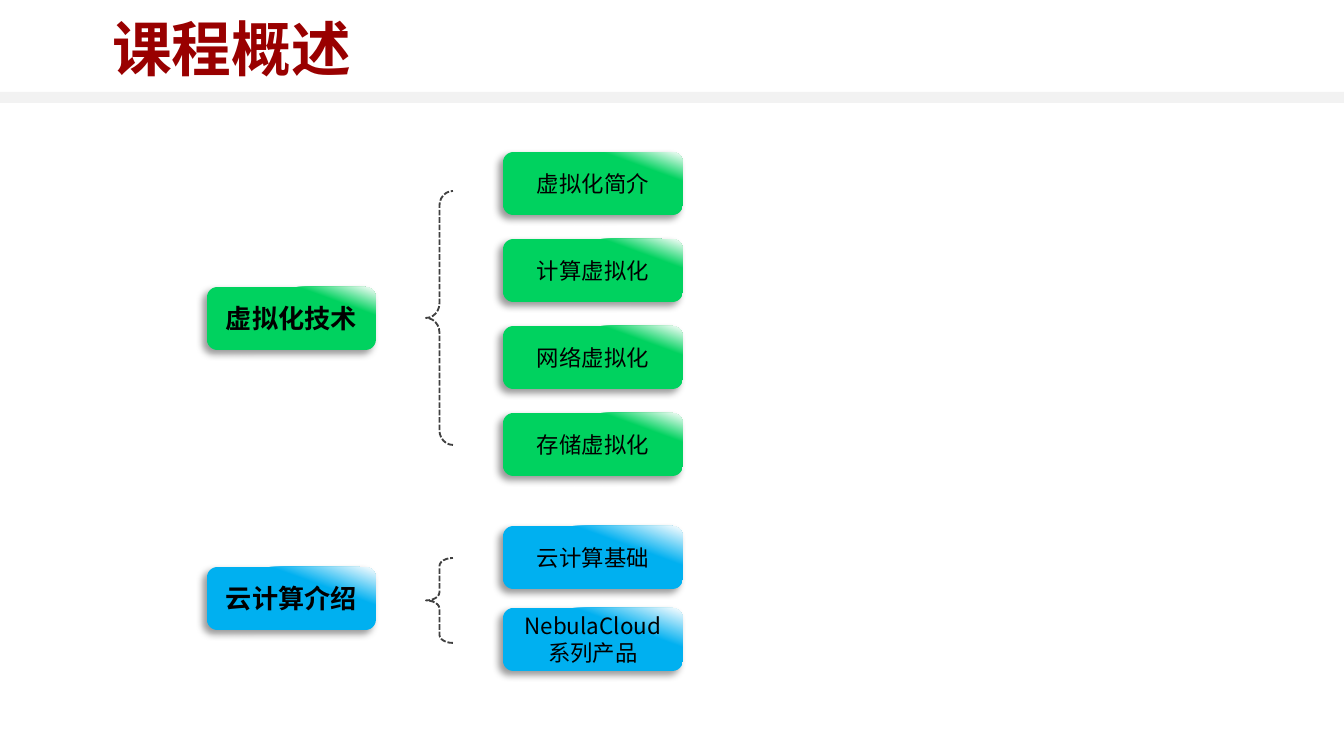
from copy import deepcopy

from pptx import Presentation
from pptx.dml.color import RGBColor
from pptx.enum.dml import MSO_LINE
from pptx.enum.shapes import MSO_SHAPE
from pptx.enum.text import MSO_ANCHOR, PP_ALIGN
from pptx.oxml import parse_xml
from pptx.oxml.ns import nsdecls
from pptx.util import Emu, Pt

RECTANGLE, ROUNDED, BRACE = MSO_SHAPE.RECTANGLE, MSO_SHAPE.ROUNDED_RECTANGLE, MSO_SHAPE.LEFT_BRACE
DASH = MSO_LINE.SQUARE_DOT
MIDDLE = MSO_ANCHOR.MIDDLE
LEFT, CENTER = PP_ALIGN.LEFT, PP_ALIGN.CENTER

GREEN = RGBColor(0x00, 0xD2, 0x5F)
BLUE = RGBColor(0x00, 0xB0, 0xF0)
WHITE = RGBColor(0xFF, 0xFF, 0xFF)
BLACK = RGBColor(0x00, 0x00, 0x00)
DARK_RED = RGBColor(0x99, 0x00, 0x00)
GRAY = RGBColor(0x40, 0x40, 0x40)
LIGHT_GRAY = RGBColor(0xF2, 0xF2, 0xF2)
FONT = "Noto Sans CJK SC"

TITLE = "课程概述"
TOPICS = [
    {"name": "虚拟化技术", "color": GREEN, "solid": 0.77, "top": 287,
     "lessons": ["虚拟化简介", "计算虚拟化", "网络虚拟化", "存储虚拟化"],
     "first": 152, "step": 87, "brace": (191, 254), "curve": 0.54},
    {"name": "云计算介绍", "color": BLUE, "solid": 0.69, "top": 567,
     "lessons": ["云计算基础", "NebulaCloud系列产品"],
     "first": 526, "step": 82, "brace": (558, 85), "curve": 0.3},
]
TOPIC_LEFT, TOPIC_WIDTH = 207, 169
LESSON_LEFT, LESSON_WIDTH = 503, 180
BRACE_LEFT, BRACE_WIDTH = 426, 27
BOX_HEIGHT = 63
SHADOW = (f'<a:outerShdw {nsdecls("a")} blurRad="50800" dist="38100" dir="8100000" '
          'algn="tr" rotWithShape="0"><a:srgbClr val="000000">'
          '<a:alpha val="40000"/></a:srgbClr></a:outerShdw>')


def px(length):
    return Emu(round(length * 914400 / 134.4))


def write(frame, text, size, color, bold, align):
    frame.word_wrap = True
    frame.vertical_anchor = MIDDLE
    para = frame.paragraphs[0]
    para.alignment = align
    span = para.add_run()
    span.text = text
    span.font.size = Pt(size)
    span.font.bold = bold
    span.font.color.rgb = color
    span.font.name = FONT
    span.font._element.append(parse_xml(f'<a:ea {nsdecls("a")} typeface="{FONT}"/>'))


def add_plain(page, kind, left, top, width, height):
    shape = page.shapes.add_shape(kind, px(left), px(top), px(width), px(height))
    shape.shadow.inherit = False
    return shape


def add_box(page, left, top, width, topic, text, size, bold):
    box = add_plain(page, ROUNDED, left, top, width, BOX_HEIGHT)
    box.line.fill.background()
    box.fill.gradient()
    box.fill.gradient_angle = 70
    first_stop = box._element.xpath("./p:spPr/a:gradFill/a:gsLst/a:gs")[0]
    first_stop.addnext(deepcopy(first_stop))
    looks = [(0, topic["color"]), (topic["solid"], topic["color"]), (1, WHITE)]
    for stop, (position, color) in zip(box.fill.gradient_stops, looks):
        stop.position = position
        stop.color.rgb = color
    box._element.xpath("./p:spPr/a:effectLst")[0].append(parse_xml(SHADOW))
    write(box.text_frame, text, size, BLACK, bold, CENTER)


def add_brace(page, topic):
    top, height = topic["brace"]
    brace = add_plain(page, BRACE, BRACE_LEFT, top, BRACE_WIDTH, height)
    brace.adjustments[0] = topic["curve"]
    brace.fill.background()
    brace.line.color.rgb = GRAY
    brace.line.width = Pt(1)
    brace.line.dash_style = DASH


deck = Presentation()
deck.slide_width, deck.slide_height = px(1344), px(756)
page = deck.slides.add_slide(deck.slide_layouts[5])

band = add_plain(page, RECTANGLE, 0, 92, 1344, 11)
band.fill.solid()
band.fill.fore_color.rgb = LIGHT_GRAY
band.line.fill.background()

title = page.shapes.title
title.left, title.top, title.width, title.height = px(112), px(0), px(1122), px(95)
title.text_frame.margin_left = 0
write(title.text_frame, TITLE, 32, DARK_RED, True, LEFT)

for topic in TOPICS:
    add_box(page, TOPIC_LEFT, topic["top"], TOPIC_WIDTH, topic, topic["name"], 14, True)
    for row, lesson in enumerate(topic["lessons"]):
        top = topic["first"] + row * topic["step"]
        add_box(page, LESSON_LEFT, top, LESSON_WIDTH, topic, lesson, 12, False)
    add_brace(page, topic)

deck.save("out.pptx")
